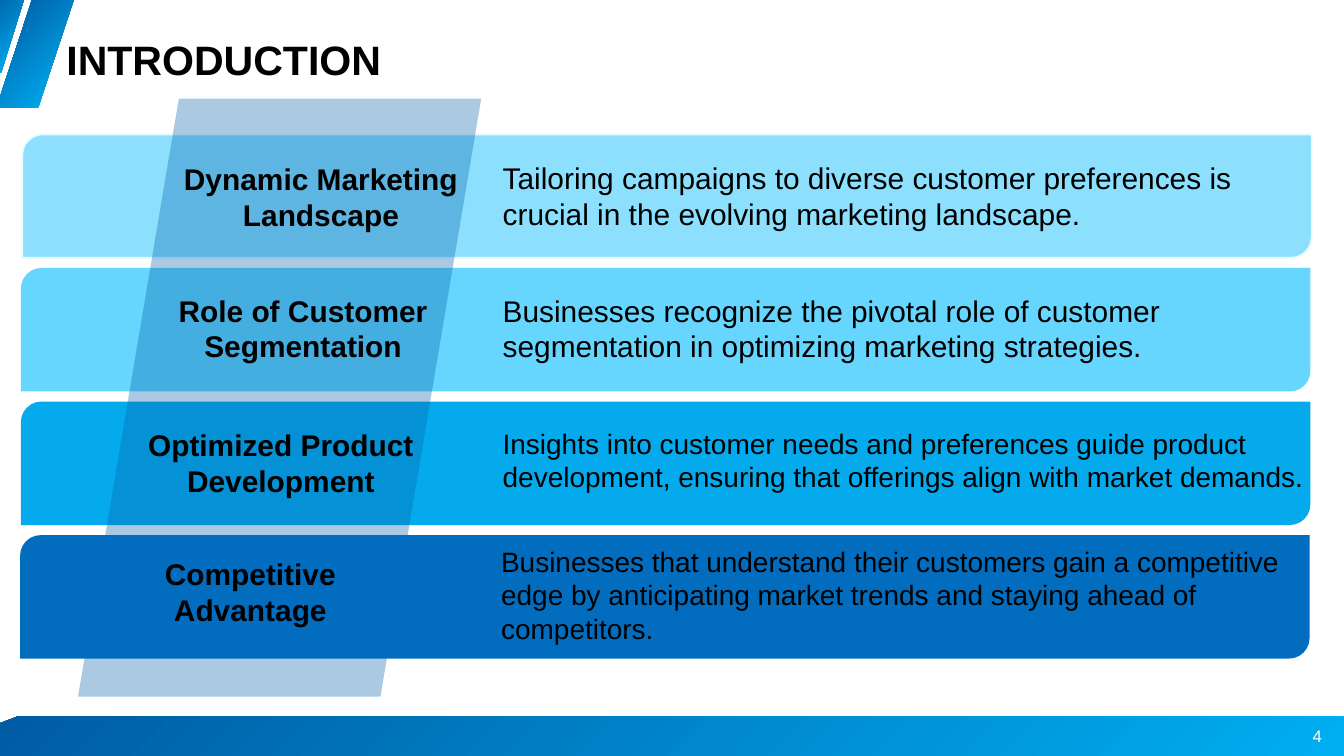
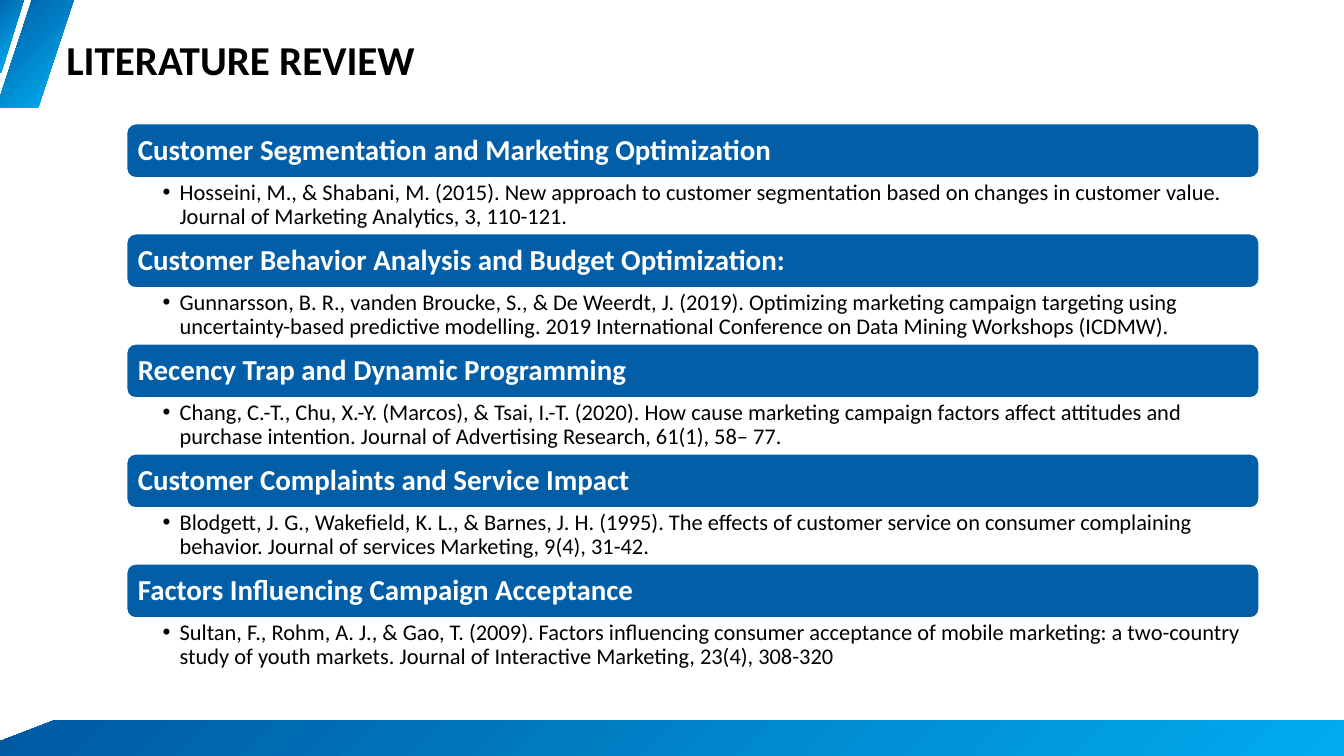
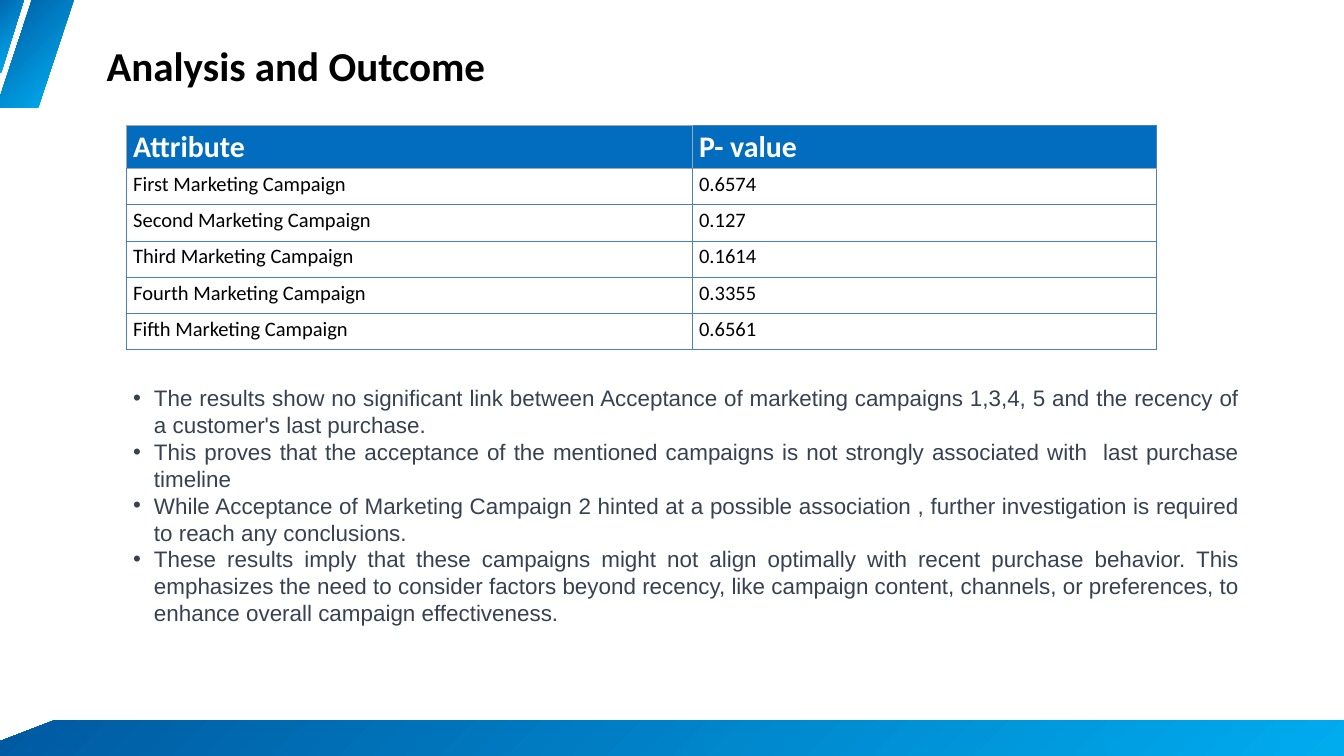
from dataclasses import dataclass

import lxml.etree
import pptx
import pptx.dml.color
import pptx.enum.shapes
import pptx.enum.text
import pptx.oxml.ns
import pptx.util

Cm = pptx.util.Cm
Pt = pptx.util.Pt
Align = pptx.enum.text.PP_ALIGN
Anchor = pptx.enum.text.MSO_ANCHOR
Preset = pptx.enum.shapes.MSO_SHAPE

COLOURS = {
    "black": "000000",
    "white": "FFFFFF",
    "slate": "374151",
    "gradient start": "00569E",
    "gradient end": "00B5F8",
    "band 1": "8CE0FE",
    "band 2": "66D6FE",
    "band 3": "05AAED",
    "band 4": "026DBE",
    "band edge": "EBFAFF",
    "deep blue": "025FA7",
    "grid": "4B7EBC",
    "grid divider": "4F81BD",
    "grid header": "A6A6A6",
}


@dataclass(frozen=True)
class Area:
    """A rectangle in centimetres."""
    left: float
    top: float
    width: float
    height: float

    def lengths(self) -> list:
        return [Cm(value) for value in (self.left, self.top, self.width, self.height)]


@dataclass(frozen=True)
class Slant:
    """A left-leaning parallelogram in centimetres, from its top left corner."""
    left: float
    top: float
    width: float
    height: float
    lean: float


@dataclass(frozen=True)
class TextStyle:
    size: float
    font: str = "Arial"
    colour: str = "black"
    bold: bool = False
    align: Align = Align.LEFT
    anchor: Anchor = Anchor.TOP
    insets: tuple = (0.25, 0.13, 0.25, 0.13)
    line_spacing: float = 1.0
    bullet_indent: float = 0


@dataclass(frozen=True)
class Theme:
    """One band of the introduction: its label and its explanation."""
    band_left: float
    colour: str
    label: str
    label_area: Area
    body: str
    body_area: Area
    body_size: float


@dataclass(frozen=True)
class Topic:
    heading: str
    reference: str


SMALL_SLASH = Slant(-0.05, -0.03, 0.96, 2.77, 0.86)
LARGE_SLASH = Slant(1.24, -0.1, 1.58, 4.16, 1.37)
TITLE_AREA = Area(2.51, 1.3, 45.11, 1.88)
NO_INSETS = (0, 0, 0, 0)

LABEL = TextStyle(32, bold=True, align=Align.CENTER)
PAGE_NUMBER = TextStyle(18, colour="white", align=Align.CENTER)
HEADING = TextStyle(31, "Calibri", "white", True, anchor=Anchor.MIDDLE,
                    insets=(0.33, 0.33, 0.33, 0.33), line_spacing=0.9)
REFERENCE = TextStyle(24, "Calibri", insets=(1.37, 0.1, 0.61, 0.1),
                      line_spacing=0.9, bullet_indent=0.64)
FINDING = TextStyle(24, colour="slate", align=Align.JUSTIFY, bullet_indent=0.79)
TABLE_HEADER = TextStyle(32, "Calibri", "white", True)
TABLE_BODY = TextStyle(22, "Calibri")

BAND_TOP, BAND_STEP, BAND_WIDTH, BAND_HEIGHT = 5.08, 5.05, 48.74, 4.67
THEMES = [
    Theme(0.84, "band 1", "Dynamic Marketing Landscape", Area(6.65, 5.94, 10.97, 3),
          "Tailoring campaigns to diverse customer preferences is crucial in the "
          "evolving marketing landscape.", Area(18.75, 5.92, 28.83, 3), 32),
    Theme(0.79, "band 2", "Role of Customer Segmentation", Area(6.2, 10.92, 10.52, 3),
          "Businesses recognize the pivotal role of customer segmentation in "
          "optimizing marketing strategies.", Area(18.75, 10.92, 27.05, 3), 32),
    Theme(0.79, "band 3", "Optimized Product Development", Area(5.03, 16, 11.18, 3),
          "Insights into customer needs and preferences guide product development, "
          "ensuring that offerings align with market demands.",
          Area(18.75, 15.98, 31.55, 4.11), 30),
    Theme(0.76, "band 4", "Competitive Advantage", Area(4.98, 20.88, 8.97, 3),
          "Businesses that understand their customers gain a competitive edge by "
          "anticipating market trends and staying ahead of competitors.",
          Area(18.69, 20.45, 31.55, 5.38), 30),
]

TOPICS = [
    Topic("Customer Segmentation and Marketing Optimization",
          "Hosseini, M., & Shabani, M. (2015). New approach to customer segmentation "
          "based on changes in customer value. Journal of Marketing Analytics, 3, 110-121."),
    Topic("Customer Behavior Analysis and Budget Optimization:",
          "Gunnarsson, B. R., vanden Broucke, S., & De Weerdt, J. (2019). Optimizing "
          "marketing campaign targeting using uncertainty-based predictive modelling. "
          "2019 International Conference on Data Mining Workshops (ICDMW)."),
    Topic("Recency Trap and Dynamic Programming",
          "Chang, C.-T., Chu, X.-Y. (Marcos), & Tsai, I.-T. (2020). How cause marketing "
          "campaign factors affect attitudes and purchase intention. Journal of "
          "Advertising Research, 61(1), 58– 77."),
    Topic("Customer Complaints and Service Impact",
          "Blodgett, J. G., Wakefield, K. L., & Barnes, J. H. (1995). The effects of "
          "customer service on consumer complaining behavior. Journal of services "
          "Marketing, 9(4), 31-42."),
    Topic("Factors Influencing Campaign Acceptance",
          "Sultan, F., Rohm, A. J., & Gao, T. (2009). Factors influencing consumer "
          "acceptance of mobile marketing: a two-country study of youth markets. "
          "Journal of Interactive Marketing, 23(4), 308-320"),
]

P_VALUES = [
    ("Attribute", "P- value"),
    ("First Marketing Campaign", "0.6574"),
    ("Second Marketing Campaign", "0.127"),
    ("Third Marketing Campaign", "0.1614"),
    ("Fourth Marketing Campaign", "0.3355"),
    ("Fifth Marketing Campaign", "0.6561"),
]

FINDINGS = [
    "The results show no significant link between Acceptance of marketing campaigns "
    "1,3,4, 5 and the recency of a customer's last purchase.",
    "This proves that the acceptance of the mentioned campaigns is not strongly "
    "associated with  last purchase timeline",
    "While Acceptance of Marketing Campaign 2 hinted at a possible association , "
    "further investigation is required to reach any conclusions.",
    "These results imply that these campaigns might not align optimally with recent "
    "purchase behavior. This emphasizes the need to consider factors beyond recency, "
    "like campaign content, channels, or preferences, to enhance overall campaign "
    "effectiveness.",
]


def rgb(name: str) -> pptx.dml.color.RGBColor:
    return pptx.dml.color.RGBColor.from_string(COLOURS[name])


def add_element(parent, tag: str, **attributes: str):
    return lxml.etree.SubElement(parent, pptx.oxml.ns.qn(tag), attributes)


def add_bullet(para, indent: float) -> None:
    properties = para._p.get_or_add_pPr()
    properties.set("marL", str(Cm(indent)))
    properties.set("indent", str(-Cm(indent)))
    add_element(properties, "a:buFont", typeface="Arial")
    add_element(properties, "a:buChar", char="•")


def write(frame, lines: list[str], style: TextStyle) -> None:
    for index, line in enumerate(lines):
        para = frame.add_paragraph() if index else frame.paragraphs[0]
        if style.bullet_indent:
            add_bullet(para, style.bullet_indent)
        para.alignment = style.align
        para.line_spacing = style.line_spacing
        span = para.add_run()
        span.text = line
        span.font.name = style.font
        span.font.size = Pt(style.size)
        span.font.bold = style.bold
        span.font.color.rgb = rgb(style.colour)


def fill_frame(frame, lines: list[str], style: TextStyle) -> None:
    """Set wrapping, anchor and insets of a shape's text frame, then write."""
    frame.word_wrap = True
    frame.vertical_anchor = style.anchor
    (frame.margin_left, frame.margin_top,
     frame.margin_right, frame.margin_bottom) = [Cm(inset) for inset in style.insets]
    write(frame, lines, style)


def add_text(page, area: Area, lines: list[str], style: TextStyle) -> None:
    box = page.shapes.add_textbox(*area.lengths())
    fill_frame(box.text_frame, lines, style)


def add_preset(page, preset: Preset, area: Area, colour: str, edge: str = ""):
    shape = page.shapes.add_shape(preset, *area.lengths())
    shape.shadow.inherit = False
    shape.fill.solid()
    shape.fill.fore_color.rgb = rgb(colour)
    if edge:
        shape.line.color.rgb = rgb(edge)
        shape.line.width = Pt(2)
    else:
        shape.line.fill.background()
    return shape


def add_slant(page, slant: Slant) -> None:
    """Draw a parallelogram whose gradient spreads from its top left corner."""
    right, bottom = slant.left + slant.width, slant.top + slant.height
    corners = [(right, slant.top), (right - slant.lean, bottom),
               (slant.left - slant.lean, bottom)]
    builder = page.shapes.build_freeform(Cm(slant.left), Cm(slant.top))
    builder.add_line_segments([(Cm(x), Cm(y)) for x, y in corners], close=True)
    shape = builder.convert_to_shape()
    shape.shadow.inherit = False
    shape.line.fill.background()
    shape.fill.gradient()
    for stop, name in zip(shape.fill.gradient_stops, ("gradient start", "gradient end")):
        stop.color.rgb = rgb(name)
    gradient = shape._element.spPr.find(pptx.oxml.ns.qn("a:gradFill"))
    gradient.remove(gradient.find(pptx.oxml.ns.qn("a:lin")))
    circle = add_element(gradient, "a:path", path="circle")
    add_element(circle, "a:fillToRect", r="100000", b="100000")


def add_page(deck, footer_left: float = 2.06, footer_top: float = 27.23):
    page = deck.slides.add_slide(deck.slide_layouts[6])
    footer = Slant(footer_left, footer_top, 54.56, 1.65, 4.3)
    for slant in (SMALL_SLASH, footer, LARGE_SLASH):
        add_slant(page, slant)
    return page


def title_style(font: str, **changes) -> TextStyle:
    return TextStyle(44, font, bold=True, **changes)


def add_band(page, index: int) -> None:
    theme = THEMES[index]
    area = Area(theme.band_left, BAND_TOP + index * BAND_STEP, BAND_WIDTH, BAND_HEIGHT)
    add_preset(page, Preset.ROUND_2_DIAG_RECTANGLE, area, theme.colour,
               "" if index else "band edge")


def build_introduction(deck) -> None:
    page = add_page(deck, 0.69, 27.08)
    add_text(page, TITLE_AREA, ["INTRODUCTION"],
             title_style("Arial", anchor=Anchor.MIDDLE, insets=NO_INSETS))
    add_text(page, Area(48.87, 27.3, 1.85, 1.02), ["4"], PAGE_NUMBER)
    last = len(THEMES) - 1
    for index in reversed(range(last)):
        add_band(page, index)
    ribbon = add_preset(page, Preset.PARALLELOGRAM, Area(2.95, 3.73, 15.24, 22.61),
                        "deep blue")
    colour = ribbon._element.spPr.find(".//" + pptx.oxml.ns.qn("a:srgbClr"))
    add_element(colour, "a:alpha", val="33000")
    add_band(page, last)
    for theme in THEMES:
        add_text(page, theme.label_area, [theme.label], LABEL)
        add_text(page, theme.body_area, [theme.body], TextStyle(theme.body_size))


def build_literature_review(deck) -> None:
    page = add_page(deck)
    add_text(page, TITLE_AREA, ["LITERATURE REVIEW"],
             title_style("Calibri", anchor=Anchor.MIDDLE, insets=NO_INSETS))
    left, width, bar_height = 4.78, 42.82, 2.06
    for index, topic in enumerate(TOPICS):
        top = 4.67 + index * 4.16
        bar = add_preset(page, Preset.ROUNDED_RECTANGLE,
                         Area(left, top, width, bar_height), "deep blue", "white")
        fill_frame(bar.text_frame, [topic.heading], HEADING)
        add_text(page, Area(left, top + bar_height, width, 2.08),
                 [topic.reference], REFERENCE)


def add_borders(cell, row: int, column: int) -> None:
    for side in ("L", "R", "T", "B"):
        name, width = "grid", 0.75
        if row == 0 and (column == 0 or side in "LB") or row == 1 and side == "T":
            name, width = "grid header", 1
        elif row and (column, side) in ((0, "R"), (1, "L")):
            name, width = "grid divider", 1
        line = add_element(cell._tc.get_or_add_tcPr(), f"a:ln{side}", w=str(Pt(width)))
        add_element(add_element(line, "a:solidFill"), "a:srgbClr", val=COLOURS[name])


def add_p_value_table(page) -> None:
    area = Area(4.78, 4.75, 38.94, 8.47)
    table = page.shapes.add_table(len(P_VALUES), 2, *area.lengths()).table
    table.horz_banding = False
    for column, width in zip(table.columns, (21.39, 17.55)):
        column.width = Cm(width)
    for row, values in enumerate(P_VALUES):
        table.rows[row].height = Cm(1.37 if row else 1.62)
        for column, value in enumerate(values):
            cell = table.cell(row, column)
            add_borders(cell, row, column)
            if row:
                cell.fill.background()
            else:
                cell.fill.solid()
                cell.fill.fore_color.rgb = rgb("band 4")
            write(cell.text_frame, [value], TABLE_BODY if row else TABLE_HEADER)


def build_analysis(deck) -> None:
    page = add_page(deck)
    add_text(page, Area(3.78, 1.4, 33.73, 3.33), ["Analysis and Outcome"],
             title_style("Calibri", align=Align.JUSTIFY))
    add_p_value_table(page)
    add_text(page, Area(4.78, 14.4, 42.29, 11.5), FINDINGS, FINDING)


def main() -> None:
    deck = pptx.Presentation()
    deck.slide_width, deck.slide_height = Cm(50.8), Cm(28.58)
    build_introduction(deck)
    build_literature_review(deck)
    build_analysis(deck)
    deck.save("out.pptx")


if __name__ == "__main__":
    main()
